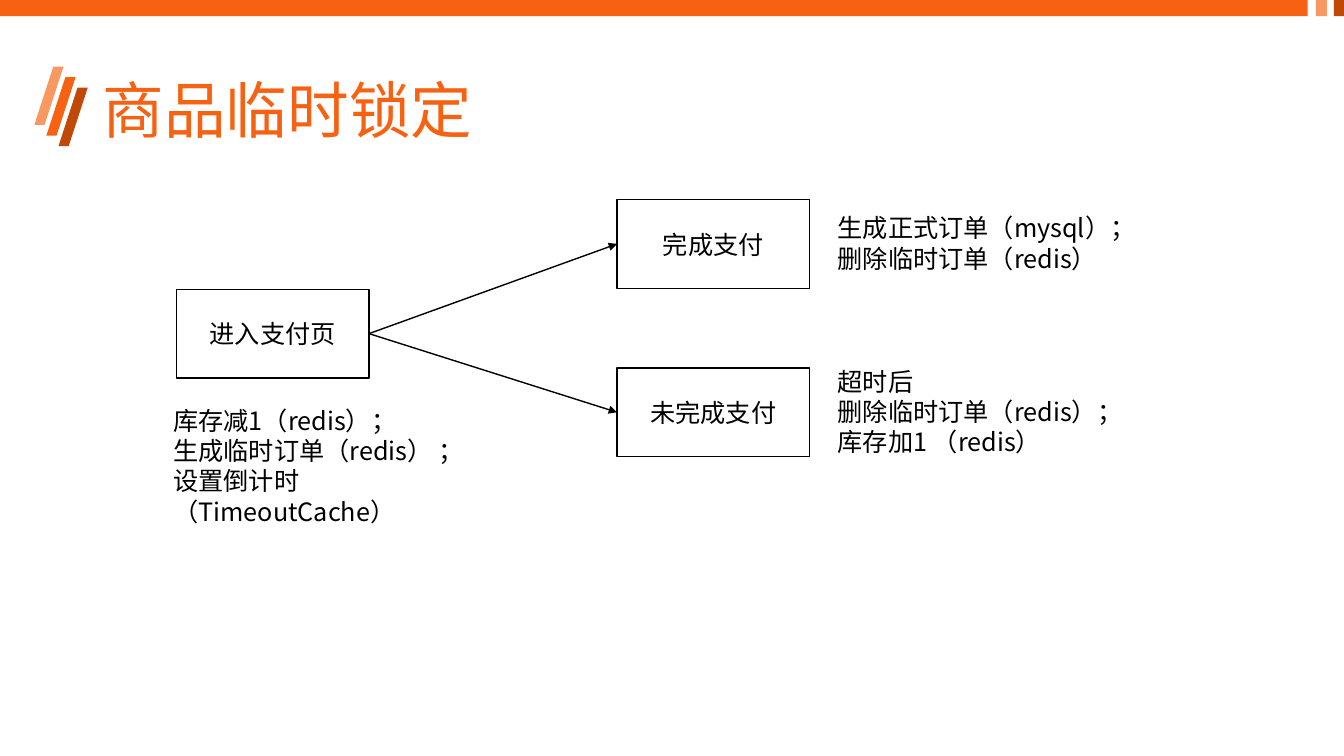
from dataclasses import dataclass
from lxml.etree import SubElement as Sub
from pptx import Presentation
from pptx.dml.color import RGBColor as Rgb
from pptx.enum.shapes import MSO_CONNECTOR as Conn, MSO_SHAPE as Kind
from pptx.enum.text import MSO_ANCHOR as Anchor, PP_ALIGN as Align
from pptx.oxml.ns import qn
from pptx.util import Inches, Pt


@dataclass(frozen=True)
class Theme:
    main: str = "F76212"
    light: str = "FA9862"
    dark: str = "C14907"
    ink: str = "000000"
    paper: str = "FFFFFF"
    font: str = "Noto Sans CJK SC"
    title: int = 44
    body: int = 18
    line: int = 1


class Board:
    """Places elements on a grid whose cells are a tenth of an inch."""

    def __init__(self, slide, theme):
        self.shapes, self.theme = slide.shapes, theme

    def grid(self, *cells):
        return [Inches(cell / 10) for cell in cells]

    def fill_text(self, frame, lines, size, color, align=Align.LEFT):
        for i, line in enumerate(lines):
            para = frame.paragraphs[0] if i == 0 else frame.add_paragraph()
            para.alignment = align
            run = para.add_run()
            run.text = line
            font = run.font
            font.size = Pt(size)
            font.color.rgb = Rgb.from_string(color)
            font.name = self.theme.font
            Sub(font._element, qn("a:ea"), typeface=self.theme.font)

    def shape(self, kind, at, fill):
        shape = self.shapes.add_shape(kind, *self.grid(*at))
        shape.shadow.inherit = False
        shape.fill.solid()
        shape.fill.fore_color.rgb = Rgb.from_string(fill)
        shape.line.fill.background()
        return shape

    def box(self, left, top, label):
        look = self.theme
        box = self.shape(Kind.RECTANGLE, (left, top, 19.1, 8.8), look.paper)
        box.line.color.rgb = Rgb.from_string(look.ink)
        box.line.width = Pt(look.line)
        box.text_frame.vertical_anchor = Anchor.MIDDLE
        self.fill_text(box.text_frame, [label], look.body, look.ink,
                       Align.CENTER)
        return box

    def text(self, at, lines, size, color, anchor=Anchor.TOP):
        frame = self.shapes.add_textbox(*self.grid(*at)).text_frame
        frame.word_wrap = True
        frame.vertical_anchor = anchor
        self.fill_text(frame, lines, size, color)
        return frame

    def note(self, at, *lines):
        self.text(at, lines, self.theme.body, self.theme.ink)

    def arrow(self, start, end):
        link = self.shapes.add_connector(Conn.STRAIGHT, 0, 0, 0, 0)
        link.begin_connect(start, 3)
        link.end_connect(end, 1)
        link.line.color.rgb = Rgb.from_string(self.theme.ink)
        link.line.width = Pt(self.theme.line)
        props = link._element.spPr
        Sub(props.find(qn("a:ln")), qn("a:tailEnd"), type="triangle")
        Sub(props, qn("a:effectLst"))


def main():
    deck = Presentation()
    deck.slide_width, deck.slide_height = Inches(13.33), Inches(7.5)
    look = Theme()
    board = Board(deck.slides.add_slide(deck.slide_layouts[6]), look)

    # Slanted title mark
    for step, color in ((1, look.main), (0, look.light), (2, look.dark)):
        at = (3.4 + 1.2 * step, 6.6 + 1.05 * step, 2.9, 5.8)
        board.shape(Kind.PARALLELOGRAM, at, color).adjustments[0] = 0.65

    # Top band
    for left, width, color in ((0, 129.7, look.main), (130.5, 1.1, look.light),
                               (132.3, 1.1, look.dark)):
        board.shape(Kind.RECTANGLE, (left, 0, width, 1.6), color)

    # Title
    title = board.text((9.2, 4, 115, 14.5), ["商品临时锁定"],
                       look.title, look.main, Anchor.MIDDLE)
    title.paragraphs[0].line_spacing = 0.9

    # Payment flow
    enter = board.box(17.5, 28.7, "进入支付页")
    paid = board.box(61.2, 19.8, "完成支付")
    unpaid = board.box(61.2, 36.5, "未完成支付")
    for goal in (paid, unpaid):
        board.arrow(enter, goal)

    # Notes beside the steps
    board.note((16.2, 39.7, 35.5, 10.1), "库存减1（redis）；",
               "生成临时订单（redis） ；", "设置倒计时（TimeoutCache）")
    board.note((82.1, 20.6, 31.8, 7.1), "生成正式订单（mysql）；",
               "删除临时订单（redis）")
    board.note((82.1, 35.8, 30.5, 10.1), "超时后",
               "删除临时订单（redis）；", "库存加1 （redis）")

    deck.save("out.pptx")


if __name__ == "__main__":
    main()
